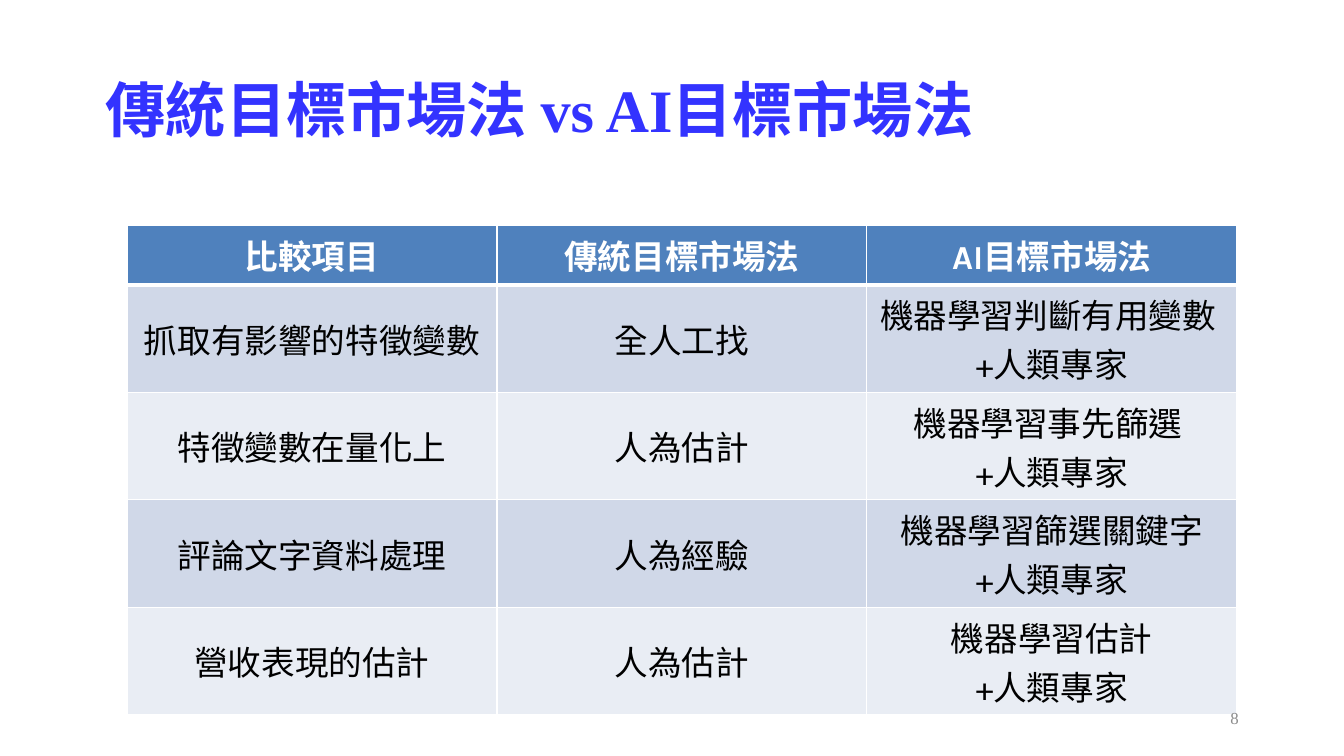
import dataclasses

import pptx
import pptx.dml.color
import pptx.enum.lang
import pptx.enum.text
import pptx.oxml
import pptx.oxml.ns
import pptx.util

ALIGN = pptx.enum.text.PP_ALIGN
ANCHOR = pptx.enum.text.MSO_ANCHOR
LANGUAGE = pptx.enum.lang.MSO_LANGUAGE_ID

SLIDE_WIDTH = pptx.util.Inches(13.333)
SLIDE_HEIGHT = pptx.util.Inches(7.5)


@dataclasses.dataclass(frozen=True)
class Theme:
    title_font: str = "Times New Roman"
    table_font: str = "Karla"
    title_size: float = 43
    table_size: float = 24
    number_size: float = 12
    title_color: str = "3333FF"
    number_color: str = "8C8C8C"
    header_text: str = "FFFFFF"
    body_text: str = "000000"
    header_fill: str = "4F81BD"
    band_fills: tuple = ("D0D8E8", "E9EDF4")
    border: str = "FFFFFF"
    thin: float = 1
    thick: float = 3


THEME = Theme()

TITLE = "傳統目標市場法 vs AI目標市場法"
HEADER = ("比較項目", "傳統目標市場法", "AI目標市場法")
EXPERT = "+人類專家"
COMPARISONS = (
    ("抓取有影響的特徵變數", "全人工找", "機器學習判斷有用變數 "),
    ("特徵變數在量化上", "人為估計", "機器學習事先篩選 "),
    ("評論文字資料處理", "人為經驗", "機器學習篩選關鍵字"),
    ("營收表現的估計", "人為估計", "機器學習估計"),
)


def rgb(value):
    return pptx.dml.color.RGBColor.from_string(value)


def share(left, top, width, height):
    return (int(SLIDE_WIDTH * left), int(SLIDE_HEIGHT * top),
            int(SLIDE_WIDTH * width), int(SLIDE_HEIGHT * height))


def write(frame, lines, font, size, color, bold=False, align=ALIGN.LEFT):
    for index, line in enumerate(lines):
        paragraph = frame.paragraphs[0] if index == 0 else frame.add_paragraph()
        paragraph.alignment = align
        run = paragraph.add_run()
        run.text = line
        run.font.name = font
        run.font.size = pptx.util.Pt(size)
        run.font.bold = bold
        run.font.color.rgb = rgb(color)
        run.font.language_id = LANGUAGE.TRADITIONAL_CHINESE


def set_margins(frame):
    frame.word_wrap = True
    frame.margin_left = frame.margin_right = pptx.util.Inches(0.13)
    frame.margin_top = frame.margin_bottom = pptx.util.Inches(0.07)


def add_title(slide):
    title = slide.shapes.title
    title.left, title.top, title.width, title.height = share(0.069, 0.053, 0.8625, 0.193)
    frame = title.text_frame
    set_margins(frame)
    frame.auto_size = pptx.enum.text.MSO_AUTO_SIZE.NONE
    frame.vertical_anchor = ANCHOR.MIDDLE
    write(frame, [TITLE], THEME.title_font, THEME.title_size, THEME.title_color, bold=True)
    frame.paragraphs[0].line_spacing = 0.9


def set_borders(cell, top, bottom):
    properties = cell._tc.get_or_add_tcPr()
    sides = {"lnL": THEME.thin, "lnR": THEME.thin, "lnT": top, "lnB": bottom}
    for position, (side, width) in enumerate(sides.items()):
        line = pptx.oxml.parse_xml(
            f'<a:{side} {pptx.oxml.ns.nsdecls("a")} w="{pptx.util.Pt(width)}">'
            f'<a:solidFill><a:srgbClr val="{THEME.border}"/></a:solidFill></a:{side}>'
        )
        properties.insert(position, line)


def fill_cell(cell, lines, row):
    is_header = row == 0
    fill = THEME.header_fill if is_header else THEME.band_fills[(row - 1) % 2]
    cell.fill.solid()
    cell.fill.fore_color.rgb = rgb(fill)
    cell.vertical_anchor = ANCHOR.TOP if is_header else ANCHOR.MIDDLE
    write(cell.text_frame, lines, THEME.table_font, THEME.table_size,
          THEME.header_text if is_header else THEME.body_text,
          bold=is_header, align=ALIGN.CENTER)
    set_borders(cell,
                top=THEME.thick if row == 1 else THEME.thin,
                bottom=THEME.thick if is_header else THEME.thin)


def add_comparison(slide):
    rows = [[[text] for text in HEADER]]
    rows += [[[item], [traditional], [machine, EXPERT]]
             for item, traditional, machine in COMPARISONS]
    frame = slide.shapes.add_table(len(rows), len(HEADER), *share(0.0945, 0.2987, 0.8257, 0.548))
    table = frame.table
    for row, cells in enumerate(rows):
        table.rows[row].height = pptx.util.Inches(0.51 if row == 0 else 0.88)
        for column, lines in enumerate(cells):
            fill_cell(table.cell(row, column), lines, row)


def add_page_number(slide, number):
    box = slide.shapes.add_textbox(*share(0.7065, 0.927, 0.225, 0.053))
    set_margins(box.text_frame)
    box.text_frame.vertical_anchor = ANCHOR.TOP
    write(box.text_frame, [number], THEME.title_font, THEME.number_size,
          THEME.number_color, align=ALIGN.RIGHT)


def main():
    deck = pptx.Presentation()
    deck.slide_width = SLIDE_WIDTH
    deck.slide_height = SLIDE_HEIGHT
    slide = deck.slides.add_slide(deck.slide_layouts.get_by_name("Title Only"))
    add_title(slide)
    add_comparison(slide)
    add_page_number(slide, "8")
    deck.save("out.pptx")


if __name__ == "__main__":
    main()
